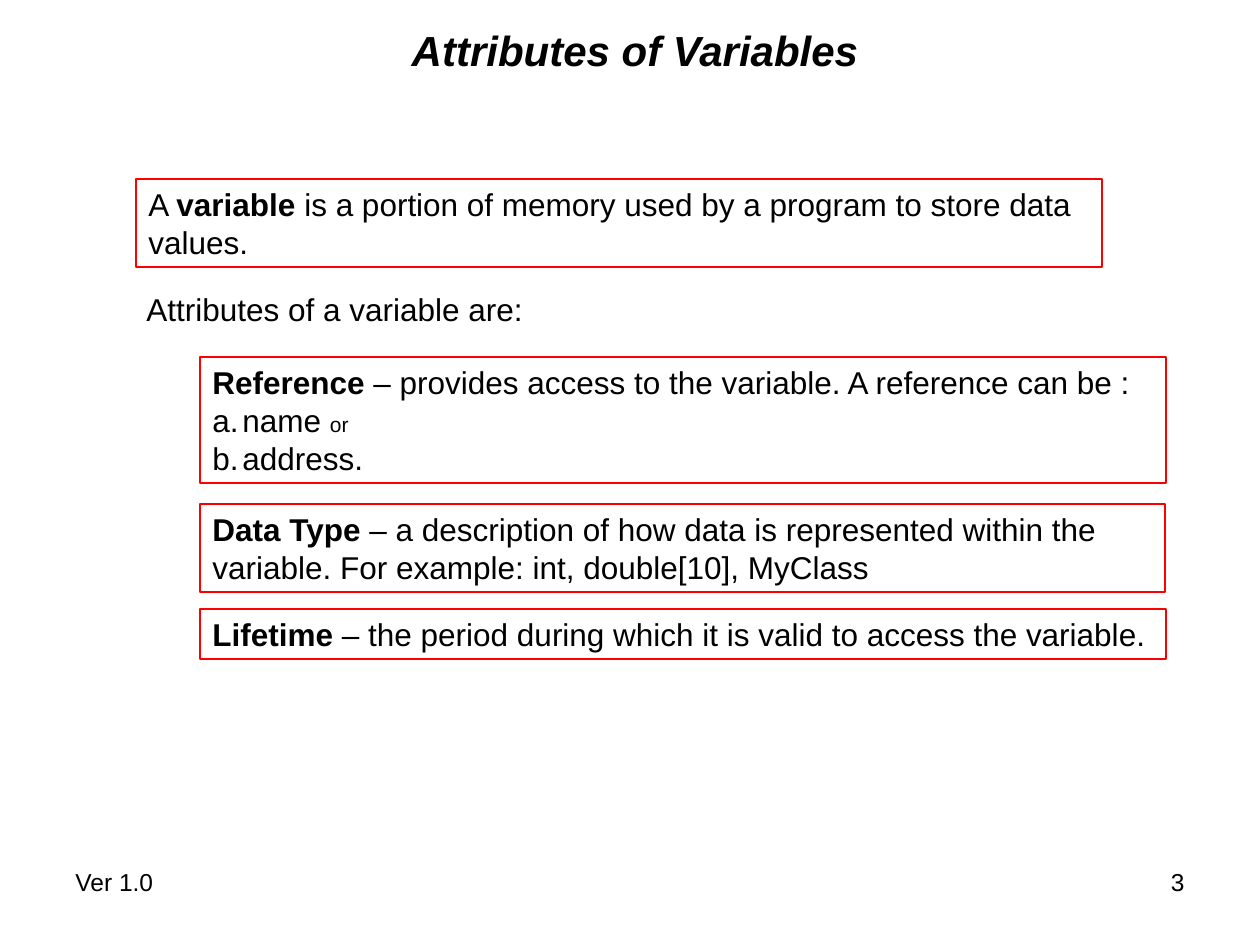
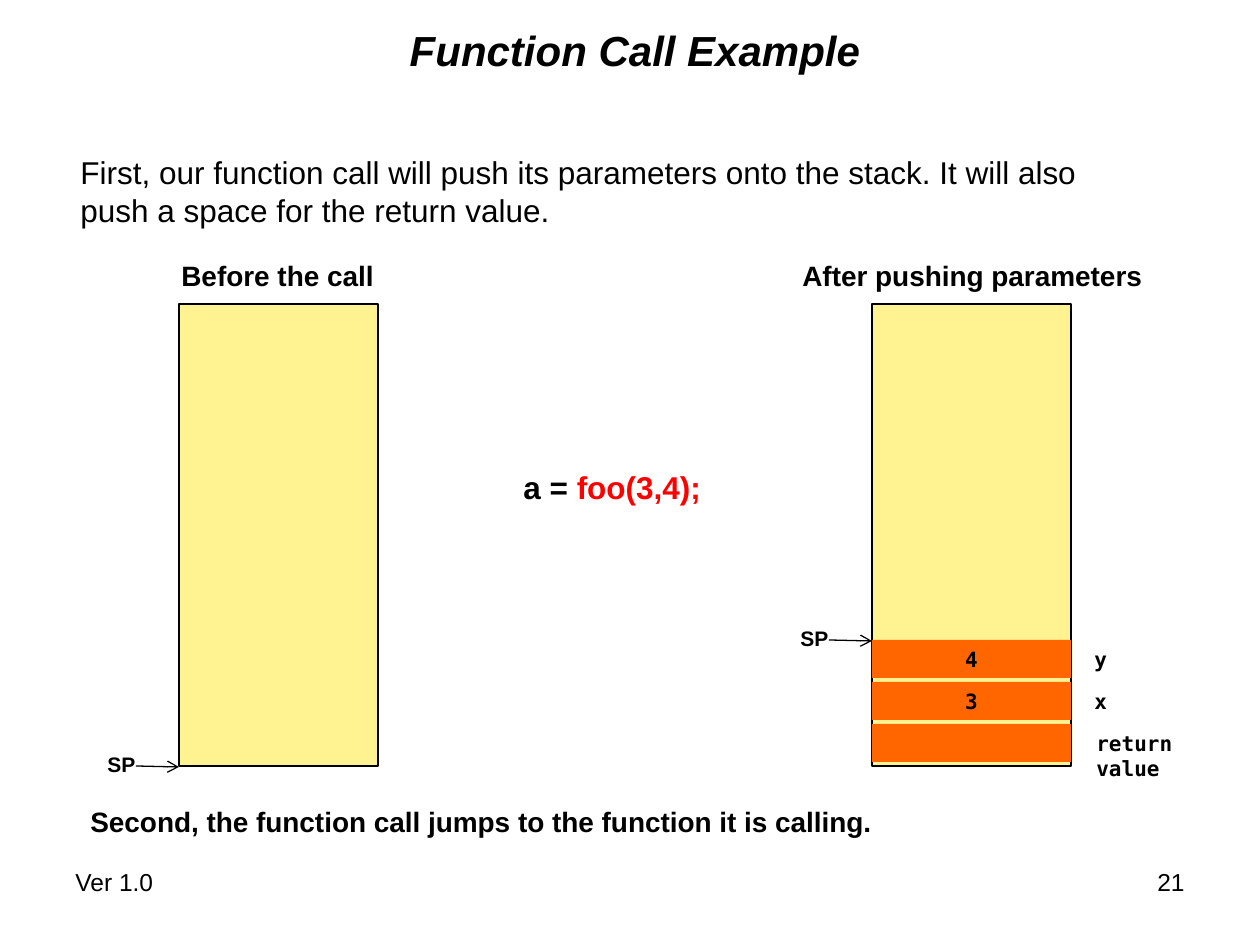
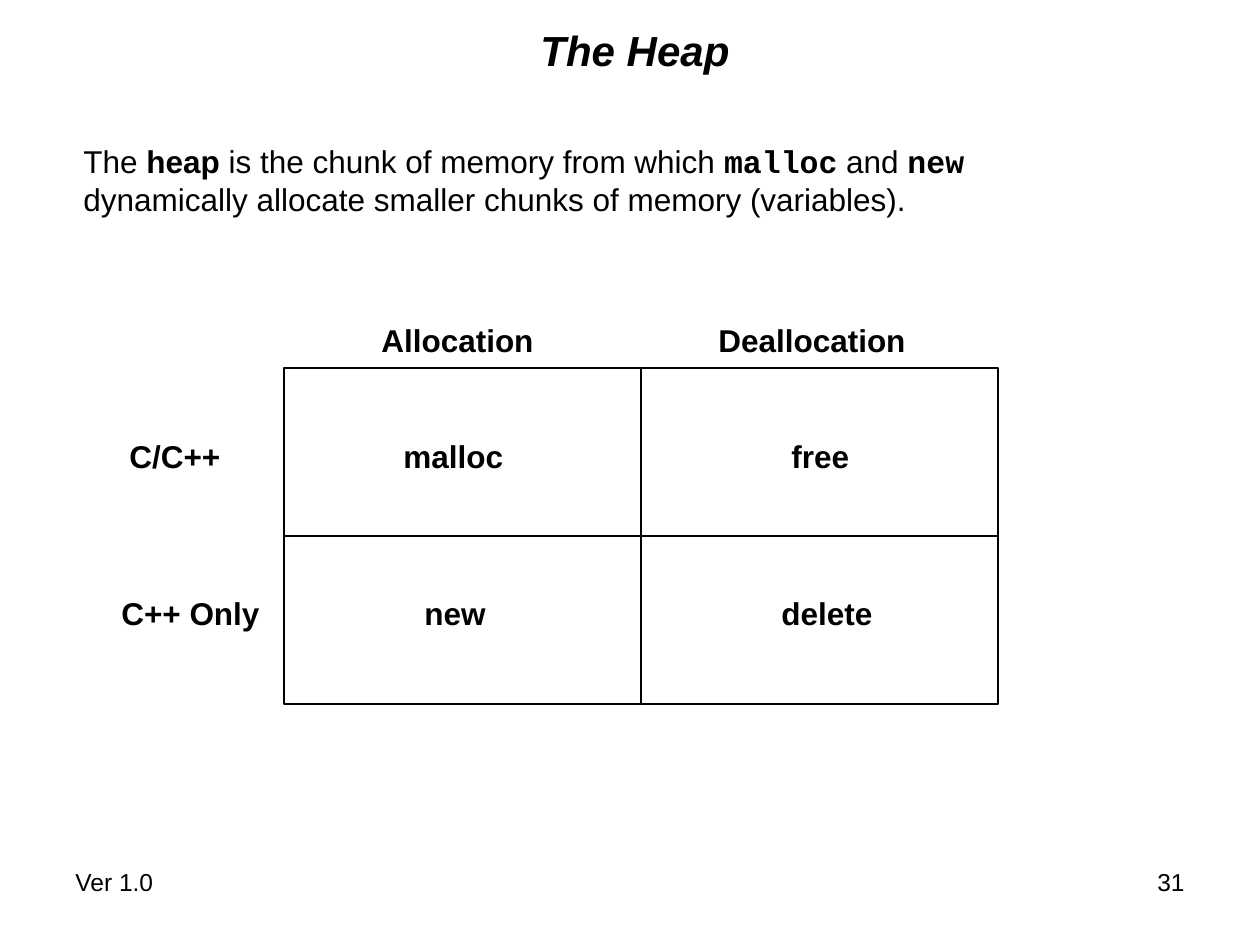
from dataclasses import dataclass
from itertools import product
from typing import NamedTuple, Optional

from pptx import Presentation
from pptx.dml.color import RGBColor
from pptx.enum.shapes import MSO_CONNECTOR, MSO_SHAPE
from pptx.enum.text import MSO_ANCHOR, MSO_AUTO_SIZE, PP_ALIGN
from pptx.oxml.ns import qn
from pptx.util import Emu, Pt
from lxml.etree import SubElement

# Shared look
PX_PER_INCH = 126
BLACK = RGBColor(0x00, 0x00, 0x00)
RED = RGBColor(0xFF, 0x00, 0x00)
YELLOW = RGBColor(0xFF, 0xF3, 0x91)
ORANGE = RGBColor(0xFF, 0x66, 0x00)
SANS, CODE, MONO = "Arial", "Courier New", "DejaVu Sans Mono"
LINE_WIDTH = Pt(0.75)
LIST_INDENT = 30


class Box(NamedTuple):
    left: int
    top: int
    width: int
    height: int


class Run(NamedTuple):
    text: str
    size: int = 18
    bold: bool = False
    italic: bool = False
    font: str = SANS
    color: RGBColor = BLACK


class Para(NamedTuple):
    runs: list[Run]
    lettered: bool = False


@dataclass
class Text:
    box: Box
    paras: list[Para]
    align: PP_ALIGN = PP_ALIGN.LEFT
    anchor: MSO_ANCHOR = MSO_ANCHOR.TOP
    grow: bool = True


TITLE_BOX = Box(126, 21, 1018, 57)
VERSION_BOX = Box(63, 861, 294, 66)
NUMBER_BOX = Box(903, 861, 294, 66)


def px(n: int) -> Emu:
    return Emu(round(n * 914400 / PX_PER_INCH))


def emus(box: Box) -> list[Emu]:
    return [px(n) for n in box]


# Drawing functions
def fill_text(tf, text: Text) -> None:
    tf.word_wrap = True
    tf.auto_size = MSO_AUTO_SIZE.SHAPE_TO_FIT_TEXT if text.grow else MSO_AUTO_SIZE.NONE
    tf.vertical_anchor = text.anchor
    for i, para in enumerate(text.paras):
        p = tf.add_paragraph() if i else tf.paragraphs[0]
        p.alignment = text.align
        if para.lettered:
            pPr = p._p.get_or_add_pPr()
            pPr.set("marL", str(px(LIST_INDENT)))
            pPr.set("indent", str(-px(LIST_INDENT)))
            SubElement(pPr, qn("a:buAutoNum"), type="alphaLcPeriod")
        for run in para.runs:
            r = p.add_run()
            r.text = run.text
            r.font.size = Pt(run.size)
            r.font.bold = run.bold
            r.font.italic = run.italic
            r.font.name = run.font
            r.font.color.rgb = run.color


def add_text(s, text: Text) -> None:
    fill_text(s.shapes.add_textbox(*emus(text.box)).text_frame, text)


def add_label(s, box: Box, *runs: Run) -> None:
    add_text(s, Text(box, [Para(list(runs))]))


def add_rect(s, box: Box, fill: Optional[RGBColor] = None,
             line: Optional[RGBColor] = None, text: Optional[Text] = None) -> None:
    sp = s.shapes.add_shape(MSO_SHAPE.RECTANGLE, *emus(box))
    sp.shadow.inherit = False
    if fill is None:
        sp.fill.background()
    else:
        sp.fill.solid()
        sp.fill.fore_color.rgb = fill
    if line is None:
        sp.line.fill.background()
    else:
        sp.line.color.rgb = line
        sp.line.width = LINE_WIDTH
    if text:
        fill_text(sp.text_frame, text)


def add_framed(s, box: Box, *paras: Para) -> None:
    add_rect(s, box, line=RED, text=Text(box, list(paras)))


def add_arrow(s, x1: int, y1: int, x2: int, y2: int) -> None:
    cn = s.shapes.add_connector(MSO_CONNECTOR.STRAIGHT, px(x1), px(y1), px(x2), px(y2))
    cn.line.color.rgb = BLACK
    cn.line.width = LINE_WIDTH
    SubElement(cn.line._get_or_add_ln(), qn("a:tailEnd"), type="arrow")
    SubElement(cn._element.spPr, qn("a:effectLst"))


def add_stack_pointer(s, x: int, y: int) -> None:
    add_label(s, Box(x - 84, y - 21, 57, 38), Run("SP", 12, bold=True))
    add_arrow(s, x - 43, y, x, y + 1)


def add_slide(prs, title: str, number: int):
    s = prs.slides.add_slide(prs.slide_layouts[6])
    add_text(s, Text(TITLE_BOX, [Para([Run(title, 24, bold=True, italic=True)])],
                     PP_ALIGN.CENTER, MSO_ANCHOR.MIDDLE, grow=False))
    for box, text, align in ((VERSION_BOX, "Ver 1.0", PP_ALIGN.LEFT),
                             (NUMBER_BOX, str(number), PP_ALIGN.RIGHT)):
        add_text(s, Text(box, [Para([Run(text, 14)])], align, grow=False))
    return s


# Slides
def attributes_slide(prs) -> None:
    s = add_slide(prs, "Attributes of Variables", 3)
    add_framed(s, Box(136, 179, 966, 88), Para([
        Run("A "), Run("variable ", bold=True),
        Run("is a portion of memory used by a program to store data values.")]))
    add_label(s, Box(134, 284, 410, 50), Run("Attributes of a variable are:"))
    add_framed(
        s, Box(200, 357, 966, 126),
        Para([Run("Reference ", bold=True),
              Run("– provides access to the variable. A reference can be :")]),
        Para([Run("name "), Run("or", 12)], lettered=True),
        Para([Run("address.")], lettered=True))
    add_framed(
        s, Box(200, 504, 965, 88),
        Para([Run("Data Type", bold=True),
              Run(" – a description of how data is represented within the")]),
        Para([Run("variable. For example: int, double[10], MyClass")]))
    add_framed(s, Box(200, 609, 966, 50), Para([
        Run("Lifetime", bold=True),
        Run(" – the period during which it is valid to access the variable.")]))


def call_slide(prs) -> None:
    s = add_slide(prs, "Function Call Example", 21)
    before_x, after_x, stack_top, stack_w, stack_h = 179, 872, 304, 199, 462
    entry_top, entry_step, entry_h = 640, 42, 38

    add_text(s, Text(Box(68, 147, 1030, 88), [
        Para([Run("First, our function call will push its parameters onto the stack. "
                  "It will also")]),
        Para([Run("push a space for the return value.")])]))
    add_label(s, Box(511, 462, 212, 50),
              Run("a = ", bold=True), Run("foo(3,4);", bold=True, color=RED))

    # Stacks with their headings and pointers
    for x, heading, pointer_y in (
            (before_x, (Box(169, 252, 226, 46), "Before the call"), stack_top + stack_h),
            (after_x, (Box(790, 252, 374, 46), "After pushing parameters"), entry_top)):
        add_rect(s, Box(x, stack_top, stack_w, stack_h), YELLOW, BLACK)
        add_label(s, heading[0], Run(heading[1], 16, bold=True))
        add_stack_pointer(s, x, pointer_y)

    # Pushed entries
    for i, (value, name, name_x, name_w) in enumerate((
            ("4", "y", 1082, 44), ("3", "x", 1082, 44), ("", "return value", 1084, 156))):
        y = entry_top + i * entry_step
        box = Box(after_x, y, stack_w, entry_h)
        text = Text(box, [Para([Run(value, 12, bold=True, font=MONO)])],
                    PP_ALIGN.CENTER) if value else None
        add_rect(s, box, ORANGE, text=text)
        add_label(s, Box(name_x, y, name_w, entry_h),
                  Run(name, 12, bold=True, font=MONO))

    add_label(s, Box(78, 798, 820, 46),
              Run("Second, the function call jumps to the function it is calling.",
                  16, bold=True))


def heap_slide(prs) -> None:
    s = add_slide(prs, "The Heap", 31)
    add_text(s, Text(Box(71, 136, 930, 88), [
        Para([Run("The "), Run("heap", bold=True),
              Run(" is the chunk of memory from which "),
              Run("malloc", bold=True, font=CODE), Run(" and "),
              Run("new", bold=True, font=CODE)]),
        Para([Run("dynamically allocate smaller chunks of memory (variables).")])]))

    # Two by two grid
    cell_w, cell_h = 357, 168
    for row, col in product(range(2), range(2)):
        add_rect(s, Box(284 + col * cell_w, 368 + row * cell_h, cell_w, cell_h), line=BLACK)

    # Headings, row names and entries: (left, width, text) by line
    for top, labels in (
            (315, ((369, 190, "Allocation"), (706, 225, "Deallocation"))),
            (431, ((117, 159, "C/C++"), (391, 135, "malloc"), (779, 93, "free"))),
            (588, ((109, 174, "C++ Only"), (412, 96, "new"), (769, 126, "delete")))):
        for left, width, name in labels:
            add_label(s, Box(left, top, width, 50), Run(name, bold=True))


def main() -> None:
    prs = Presentation()
    prs.slide_width, prs.slide_height = px(1260), px(945)
    attributes_slide(prs)
    call_slide(prs)
    heap_slide(prs)
    prs.save("out.pptx")


if __name__ == "__main__":
    main()
